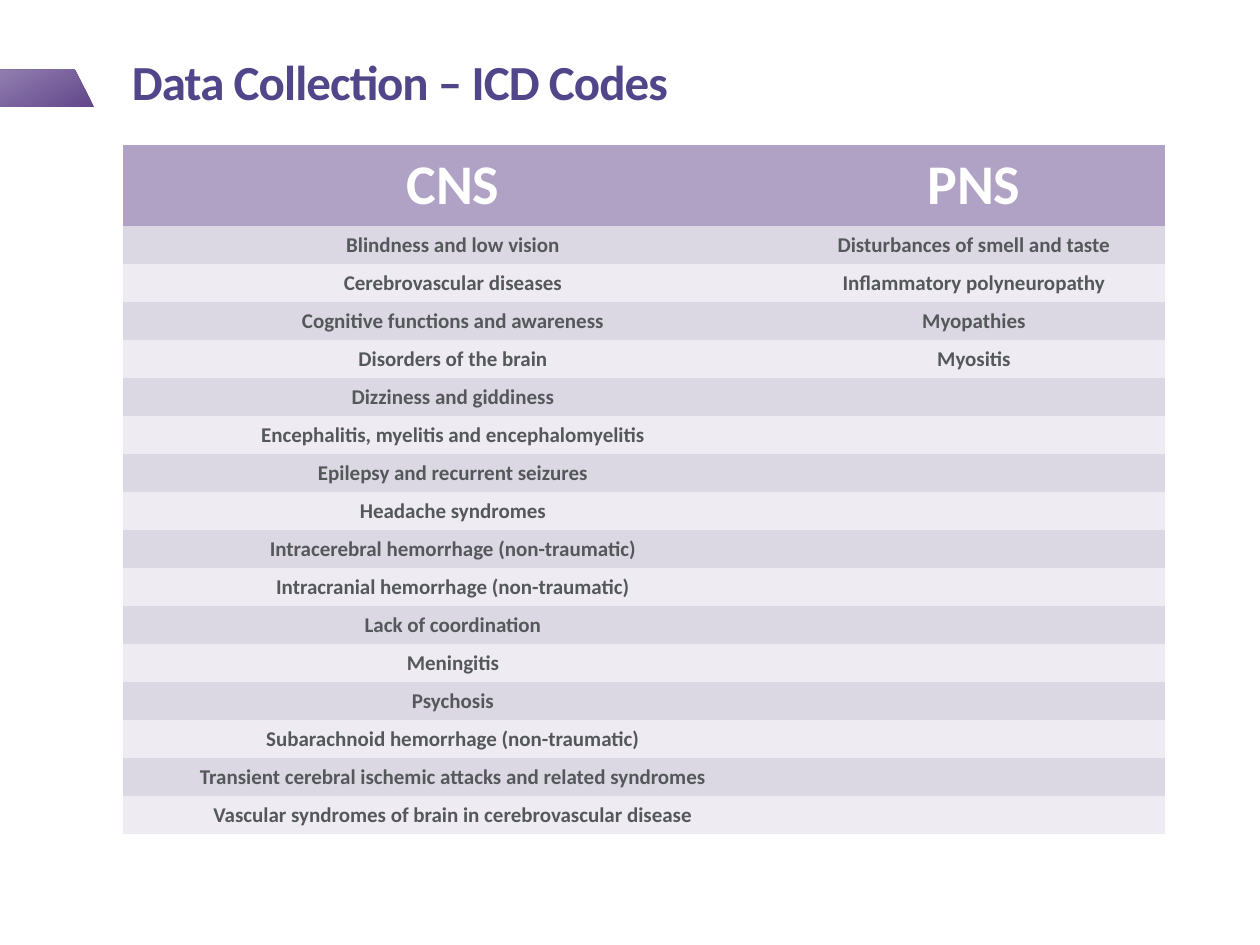
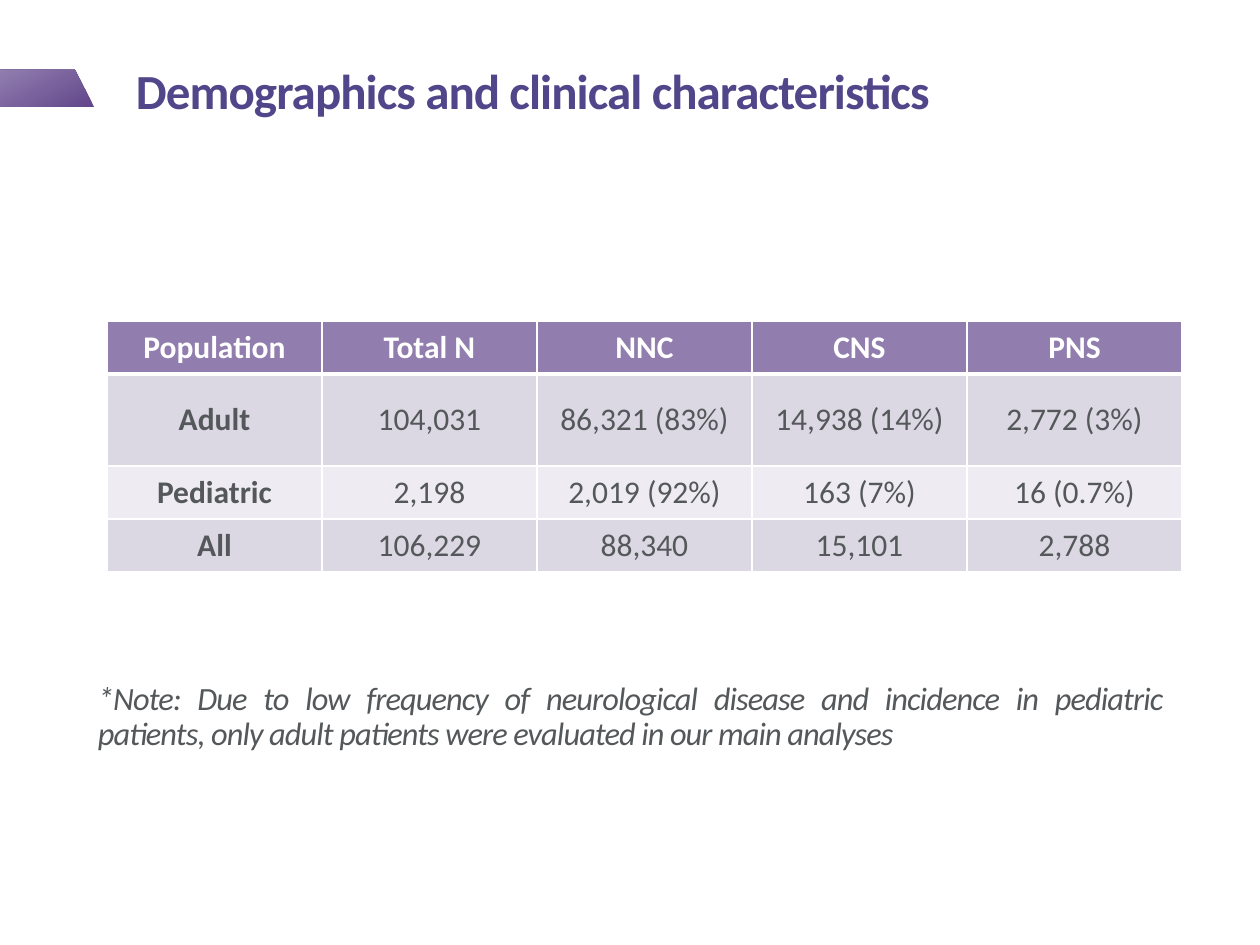
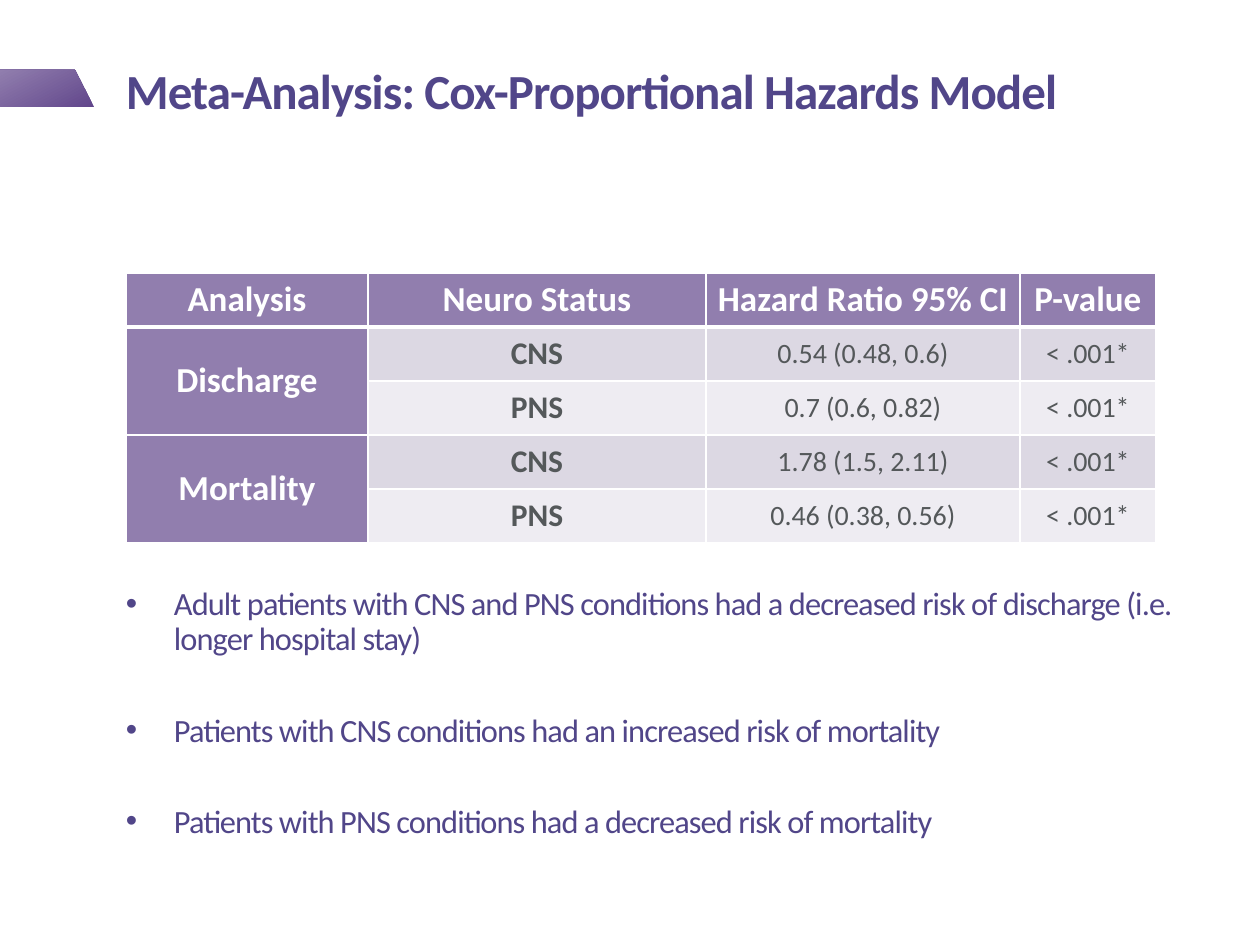
from itertools import zip_longest

from lxml.etree import SubElement
from pptx import Presentation
from pptx.dml.color import RGBColor
from pptx.enum.text import MSO_ANCHOR as Anchor, PP_ALIGN as Align
from pptx.oxml.ns import qn
from pptx.util import Pt

PX = 7257  # EMU in one px, at 126 px to the inch
rgb = RGBColor.from_string

FONT = "Calibri"
INDIGO, GREY, WHITE = "514689", "54585A", "FFFFFF"
DEEP_PURPLE, PURPLE, LILAC = "61468B", "917EAE", "B0A2C5"
STRIPES = "DCD8E3", "EEECF2"
PLAIN_TABLE = "{2D5ABB26-0587-4C30-8999-92F81FD0307C}"


def write(frame, *lines, size=18, color=GREY, bold=False, italic=False, align=Align.LEFT,
          tracking=None, leading=None, before=None, indent=0, insets=None):
    """Write one paragraph per line; an indent in px makes them bulleted."""
    if insets:
        frame.word_wrap = True
        frame.margin_left, frame.margin_top, frame.margin_right, frame.margin_bottom = (
            inset * PX for inset in insets)
    for number, line in enumerate(lines):
        paragraph = frame.add_paragraph() if number else frame.paragraphs[0]
        paragraph.alignment = align
        if leading:
            paragraph.line_spacing = leading
        if before:
            paragraph.space_before = Pt(before)
        if indent:
            props = paragraph._p.get_or_add_pPr()
            props.set("marL", str(indent * PX))
            props.set("indent", str(-indent * PX))
            SubElement(props, qn("a:buFont"), typeface="Arial")
            SubElement(props, qn("a:buChar"), char="•")
        if not line:
            # an empty cell needs its size too, or its row grows
            SubElement(paragraph._p, qn("a:endParaRPr"), sz=str(size * 100))
            continue
        run = paragraph.add_run()
        run.text = line
        font = run.font
        font.name, font.size, font.bold, font.italic = FONT, Pt(size), bold, italic
        font.color.rgb = rgb(color)
        if tracking:
            run._r.get_or_add_rPr().set("spc", str(int(tracking * 100)))


def add_grid(slide, left, top, widths, heights, rows, header_size, column_formats,
             header_fill=PURPLE, ruled=True, side_inset=13, end_inset=6):
    """Add a striped table with a header row, ruled in white if asked."""
    table = slide.shapes.add_table(len(rows), len(widths), left * PX, top * PX,
                                   sum(widths) * PX, sum(heights) * PX).table
    table.first_row = table.horz_banding = False
    table._tbl.tblPr.find(qn("a:tableStyleId")).text = PLAIN_TABLE
    for column, width in zip(table.columns, widths):
        column.width = width * PX
    for r, (row, height) in enumerate(zip(rows, heights)):
        table.rows[r].height = height * PX
        for c, text in enumerate(row):
            cell = table.cell(r, c)
            cell.vertical_anchor = Anchor.MIDDLE
            cell.margin_left = cell.margin_right = side_inset * PX
            cell.margin_top = cell.margin_bottom = end_inset * PX
            if ruled:
                for side in "LRTB":
                    thick = (r, side) in ((0, "B"), (1, "T"))
                    rule = SubElement(cell._tc.get_or_add_tcPr(), qn(f"a:ln{side}"),
                                      w=str(Pt(3 if thick else 1)))
                    SubElement(SubElement(rule, qn("a:solidFill")), qn("a:srgbClr"), val=WHITE)
            cell.fill.solid()
            cell.fill.fore_color.rgb = rgb(STRIPES[(r - 1) % 2] if r else header_fill)
            text_format = column_formats[c] if r else dict(size=header_size, color=WHITE, bold=True)
            write(cell.text_frame, text, align=Align.CENTER, **text_format)
    return table


prs = Presentation()
prs.slide_width, prs.slide_height = 1260 * PX, 945 * PX

# Band and title on every slide
slides = []
for title, left, top in (("Data Collection – ICD Codes", 132, 12),
                         ("Demographics and clinical characteristics", 136, 21),
                         ("Meta-Analysis: Cox-Proportional Hazards Model", 126, 21)):
    slide = prs.slides.add_slide(prs.slide_layouts[6])
    slides.append(slide)
    outline = slide.shapes.build_freeform(0, 70, scale=PX)
    outline.add_line_segments([(75, 70), (94, 107), (0, 107)], close=True)
    band = outline.convert_to_shape()
    band.shadow.inherit = False
    band.line.fill.background()
    band.fill.gradient()
    band.fill.gradient_angle = 118
    for stop, color in zip(band.fill.gradient_stops, (DEEP_PURPLE, PURPLE)):
        stop.color.rgb = rgb(color)
    heading = slide.shapes.add_textbox(left * PX, top * PX, 1063 * PX, 105 * PX).text_frame
    heading.vertical_anchor = Anchor.BOTTOM
    write(heading, title, size=28, color=INDIGO, bold=True, tracking=-0.5, leading=0.85,
          insets=(0, 0, 13, 6))
codes_slide, demographics_slide, hazards_slide = slides

# ICD codes
cns_codes = [
    "Blindness and low vision", "Cerebrovascular diseases",
    "Cognitive functions and awareness", "Disorders of the brain",
    "Dizziness and giddiness", "Encephalitis, myelitis and encephalomyelitis",
    "Epilepsy and recurrent seizures", "Headache syndromes",
    "Intracerebral hemorrhage (non-traumatic)", "Intracranial hemorrhage (non-traumatic)",
    "Lack of coordination", "Meningitis", "Psychosis",
    "Subarachnoid hemorrhage (non-traumatic)",
    "Transient cerebral ischemic attacks and related syndromes",
    "Vascular syndromes of brain in cerebrovascular disease",
]
pns_codes = ["Disturbances of smell and taste", "Inflammatory polyneuropathy",
             "Myopathies", "Myositis"]
add_grid(codes_slide, 123, 145, [660, 382], [81] + [38] * len(cns_codes),
         [("CNS", "PNS"), *zip_longest(cns_codes, pns_codes, fillvalue="")],
         header_size=32, column_formats=[dict(size=12, bold=True)] * 2,
         header_fill=LILAC, ruled=False)

# Demographics
add_grid(demographics_slide, 107, 321, [215] * 5, [53, 92, 53, 53],
         [("Population", "Total N", "NNC", "CNS", "PNS"),
          ("Adult", "104,031", "86,321 (83%)", "14,938 (14%)", "2,772 (3%)"),
          ("Pediatric", "2,198", "2,019 (92%)", "163 (7%)", "16 (0.7%)"),
          ("All", "106,229", "88,340", "15,101", "2,788")],
         header_size=18, column_formats=[dict(bold=True)] + [dict()] * 4)
note = demographics_slide.shapes.add_textbox(98 * PX, 683 * PX, 1064 * PX, 105 * PX)
write(note.text_frame,
      "*Note: Due to low frequency of neurological disease and incidence in pediatric "
      "patients, only adult patients were evaluated in our main analyses",
      size=18.5, italic=True, align=Align.JUSTIFY, tracking=-0.5, leading=0.9, before=6,
      insets=(0, 0, 0, 0))

# Hazard ratios
hazards = add_grid(hazards_slide, 126, 273, [242, 338, 314, 136], [54] * 5,
                   [("Analysis", "Neuro Status", "Hazard Ratio 95% CI", "P-value"),
                    ("Discharge", "CNS", "0.54 (0.48, 0.6)", "< .001*"),
                    ("", "PNS", "0.7 (0.6, 0.82)", "< .001*"),
                    ("Mortality", "CNS", "1.78 (1.5, 2.11)", "< .001*"),
                    ("", "PNS", "0.46 (0.38, 0.56)", "< .001*")],
                   header_size=20,
                   column_formats=[dict(size=20, color=WHITE, bold=True), dict(bold=True),
                                   dict(size=16), dict(size=16)],
                   side_inset=9, end_inset=0)
for first in (1, 3):
    analysis = hazards.cell(first, 0)
    analysis.merge(hazards.cell(first + 1, 0))
    analysis.fill.fore_color.rgb = rgb(PURPLE)
findings = hazards_slide.shapes.add_textbox(126 * PX, 588 * PX, 1071 * PX, 147 * PX)
write(findings.text_frame,
      "Adult patients with CNS and PNS conditions had a decreased risk of discharge "
      "(i.e. longer hospital stay)",
      "Patients with CNS conditions had an increased risk of mortality",
      "Patients with PNS conditions had a decreased risk of mortality",
      size=18.5, color=INDIGO, tracking=-0.5, leading=0.9, before=32, indent=48,
      insets=(0, 0, 0, 0))

prs.save("out.pptx")
